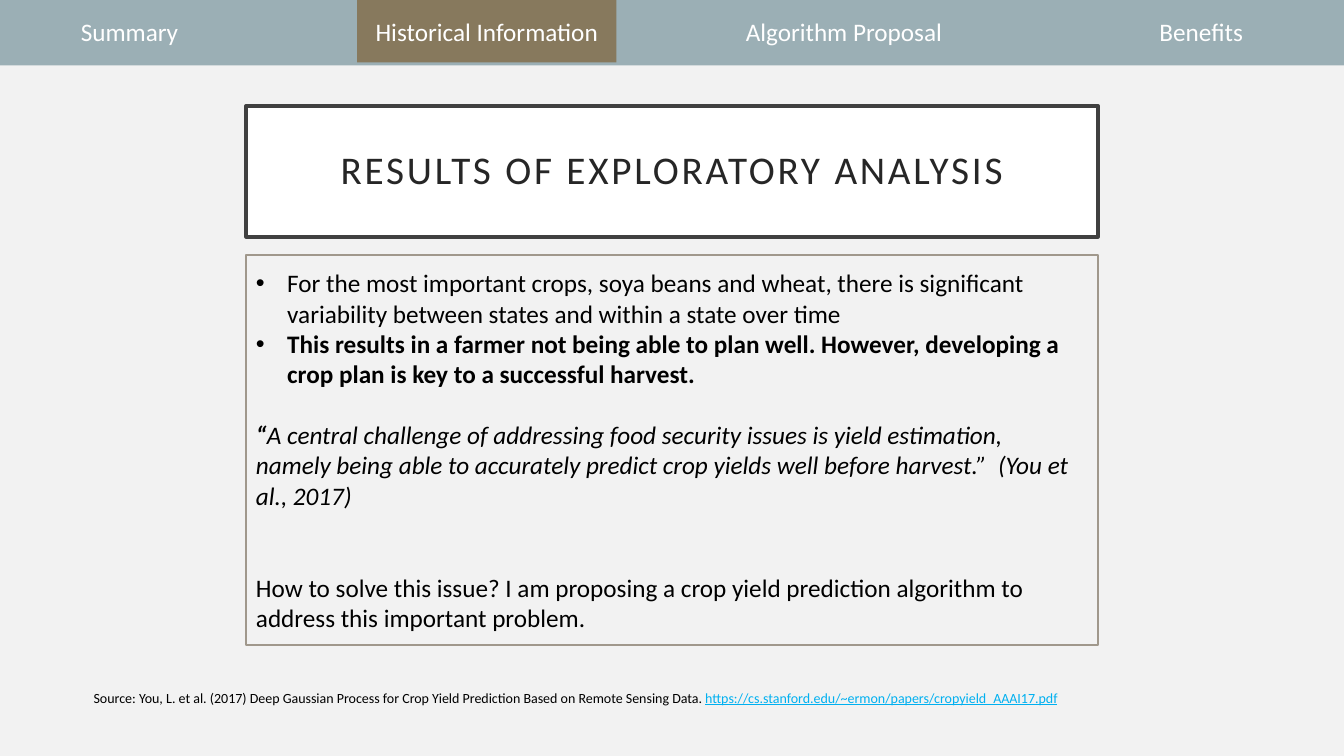
"""Build the slide on the results of the exploratory crop analysis."""
from lxml.etree import SubElement
from pptx import Presentation
from pptx.dml.color import RGBColor
from pptx.enum.shapes import MSO_SHAPE as Shape
from pptx.enum.text import MSO_ANCHOR as Anchor, PP_ALIGN as Align
from pptx.oxml.ns import qn
from pptx.util import Inches, Pt


def color(value):
    return RGBColor.from_string(value)


def add_box(left, top, width, height, fill=None, line=None, weight=1):
    box = page.shapes.add_shape(Shape.RECTANGLE, Inches(left), Inches(top), Inches(width), Inches(height))
    box.shadow.inherit = False
    if fill:
        box.fill.solid()
        box.fill.fore_color.rgb = color(fill)
    else:
        box.fill.background()
    if line:
        box.line.color.rgb = color(line)
        box.line.width = Pt(weight)
    else:
        box.line.fill.background()
    box.text_frame.word_wrap = True
    box.text_frame.vertical_anchor = Anchor.MIDDLE
    return box


def add_span(para, text, size, ink, **styles):
    span = para.add_run()
    span.text = text
    span.font.color.rgb = color(ink)
    for name, value in {"name": "Calibri", "size": Pt(size), **styles}.items():
        setattr(span.font, name, value)
    return span


BAR, ACTIVE, WHITE, BLACK = "9BAFB5", "87795D", "FFFFFF", "000000"

deck = Presentation()
deck.slide_width, deck.slide_height = Inches(13.33), Inches(7.5)
page = deck.slides.add_slide(deck.slide_layouts[6])
page.background.fill.solid()
page.background.fill.fore_color.rgb = color("F2F2F2")

add_box(0, -0.02, 13.33, 0.67, BAR)
tabs = ["Summary", "Historical Information", "Algorithm Proposal", "Benefits"]
for index, label in enumerate(tabs):
    tab = add_box(index * 3.543, 0, 2.57, 0.62, ACTIVE if index == 1 else BAR)
    para = tab.text_frame.paragraphs[0]
    para.alignment = Align.CENTER
    add_span(para, label, 18, WHITE)

title = add_box(2.44, 1.05, 8.45, 1.3, WHITE, "404040", 2.5)
for side in ("left", "top", "right", "bottom"):
    setattr(title.text_frame, f"margin_{side}", Inches(0.2))
para = title.text_frame.paragraphs[0]
para.alignment = Align.CENTER
para.line_spacing = 0.9
heading = add_span(para, "RESULTS OF EXPLORATORY ANALYSIS", 28, "262626")
heading._r.get_or_add_rPr().set("spc", "200")

source = page.shapes.add_textbox(Inches(0.83), Inches(6.64), Inches(12.05), Inches(0.56))
source.text_frame.word_wrap = True
source.text_frame.vertical_anchor = Anchor.MIDDLE
para = source.text_frame.paragraphs[0]
add_span(para, "Source: You, L. et al. (2017) Deep Gaussian Process for Crop Yield Prediction "
               "Based on Remote Sensing Data. ", 10, BLACK)
add_span(para, "https://cs.stanford.edu/~ermon/papers/cropyield_AAAI17.pdf", 10, "00B0F0", underline=True)

findings = [
    (True, 0, [("For the most important crops, soya beans and wheat, there is significant "
                "variability between states and within a state over time", {})]),
    (True, 0, [("This results in a farmer not being able to plan well. However, developing a "
                "crop plan is key to a successful harvest.", {"bold": True})]),
    (False, 22, [("“", {"bold": True, "italic": True}),
                 ("A central challenge of addressing food security issues is yield estimation,  "
                  "namely being able to accurately predict crop yields well before harvest.”  "
                  "(You et al., 2017)", {"italic": True})]),
    (False, 44, [("How to solve this issue? I am proposing a crop yield prediction algorithm to "
                  "address this important problem.", {})]),
]
frame = add_box(2.44, 2.53, 8.45, 3.87, line="A0988C").text_frame
for index, (bulleted, gap, spans) in enumerate(findings):
    para = frame.add_paragraph() if index else frame.paragraphs[0]
    para.alignment = Align.LEFT
    para.space_before = Pt(gap)
    if bulleted:
        props = para._p.get_or_add_pPr()
        props.set("marL", str(Inches(0.31)))
        props.set("indent", str(-Inches(0.31)))
        SubElement(props, qn("a:buFont"), typeface="Arial")
        SubElement(props, qn("a:buChar"), char="•")
    for text, styles in spans:
        add_span(para, text, 18, BLACK, **styles)

deck.save("out.pptx")
